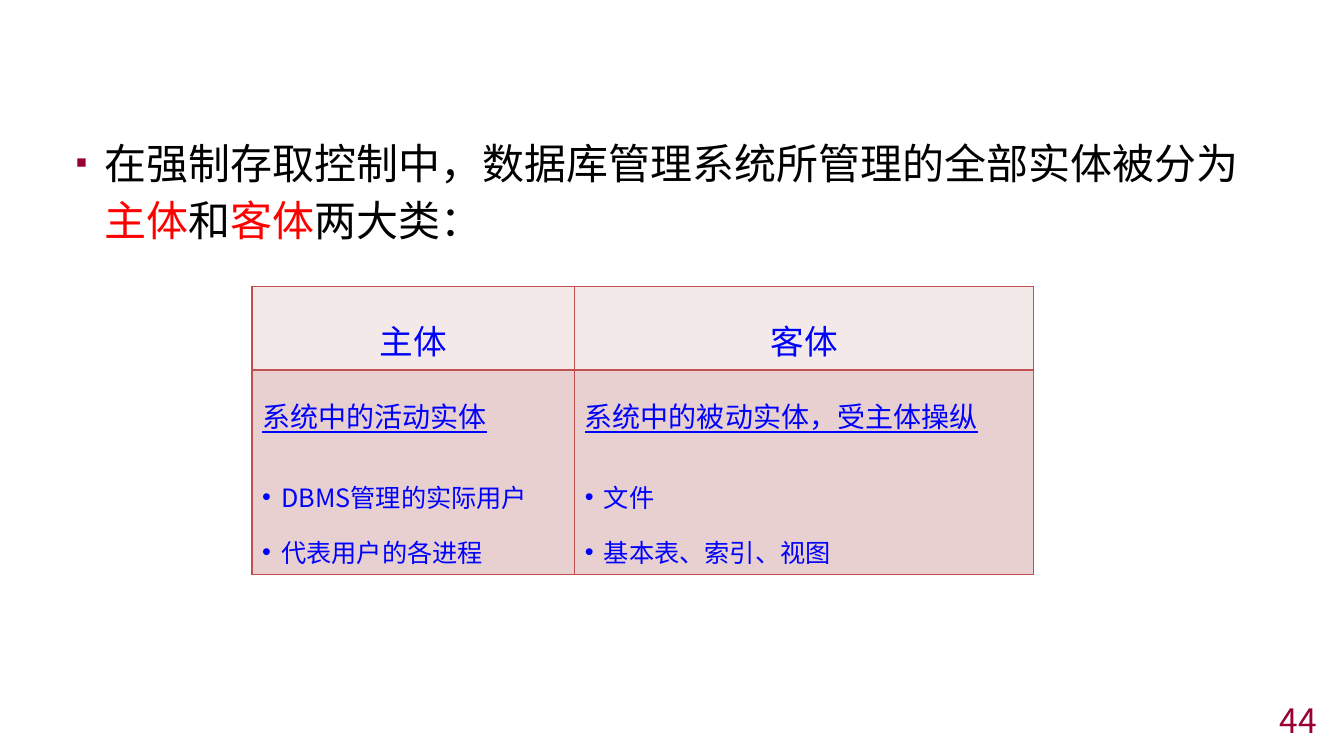
import pptx
import pptx.dml.color
import pptx.enum.text
import pptx.oxml
import pptx.oxml.ns
import pptx.util
from pptx.util import Inches, Pt

FONT = "Noto Sans CJK SC"
BLACK, RED, BLUE, MAROON, BORDER = "000000", "FF0000", "0000FF", "990033", "C0504D"
HEADER_FILL, BODY_FILL = "F4E9E9", "E8D0D0"

STATEMENT = [
    ("在强制存取控制中，数据库管理系统所管理的全部实体被分为", BLACK),
    ("主体", RED),
    ("和", BLACK),
    ("客体", RED),
    ("两大类：", BLACK),
]
# Each column: heading, definition, examples, width
COLUMNS = [
    ("主体", "系统中的活动实体", ["DBMS管理的实际用户", "代表用户的各进程"], 3.2),
    ("客体", "系统中的被动实体，受主体操纵", ["文件", "基本表、索引、视图"], 4.55),
]
ROW_HEIGHTS = [0.83, 2.03]
PAGE_NUMBER = "44"
ALIGN = pptx.enum.text.PP_ALIGN


def color(value):
    return pptx.dml.color.RGBColor.from_string(value)


def add_xml(parent, markup):
    namespace = pptx.oxml.ns.nsdecls("a")
    tag, rest = markup.split(" ", 1)
    parent.append(pptx.oxml.parse_xml(f"{tag} {namespace} {rest}"))


def style_span(span, size, value, underline=False):
    span.font.size = Pt(size)
    span.font.name = FONT
    span.font.color.rgb = color(value)
    span.font.underline = underline
    add_xml(span.font._element, f'<a:ea typeface="{FONT}"/>')


def style_para(para, spacing, before=0, align=ALIGN.LEFT):
    para.line_spacing = spacing
    para.space_before = Pt(before)
    para.alignment = align


def add_bullet(para, character, indent, tint=None, percent=100):
    properties = para._p.get_or_add_pPr()
    properties.set("marL", str(Inches(indent)))
    properties.set("indent", str(-Inches(indent)))
    if tint:
        add_xml(properties, f'<a:buClr ><a:srgbClr val="{tint}"/></a:buClr>')
    add_xml(properties, f'<a:buSzPct val="{percent * 1000}"/>')
    add_xml(properties, '<a:buFont typeface="Arial"/>')
    add_xml(properties, f'<a:buChar char="{character}"/>')


def style_cell(cell, fill):
    properties = cell._tc.get_or_add_tcPr()
    for side in ("lnL", "lnR", "lnT", "lnB"):
        add_xml(properties, f'<a:{side} w="{Pt(1)}"><a:solidFill><a:srgbClr val="{BORDER}"/>'
                            f'</a:solidFill></a:{side}>')
    cell.fill.solid()
    cell.fill.fore_color.rgb = color(fill)


def place(shape, left, top, width, height):
    shape.left, shape.top = Inches(left), Inches(top)
    shape.width, shape.height = Inches(width), Inches(height)


deck = pptx.Presentation()
deck.slide_width, deck.slide_height = Inches(13.33), Inches(7.5)
page = deck.slides.add_slide(deck.slide_layouts[1])
title = page.shapes.title._element
title.getparent().remove(title)

# Statement
body = page.placeholders[1]
place(body, 0.65, 1.24, 12.04, 5.91)
body.text_frame.auto_size = pptx.enum.text.MSO_AUTO_SIZE.NONE
para = body.text_frame.paragraphs[0]
style_para(para, 1.14, before=6)
add_bullet(para, "▪", 0.29, MAROON, 80)
for text, tint in STATEMENT:
    span = para.add_run()
    span.text = text
    style_span(span, 30, tint)

# Page number
number = page.shapes.add_textbox(Inches(10.33), Inches(6.99), Inches(2.83), Inches(0.31))
number.text_frame.word_wrap = True
number.text_frame.vertical_anchor = pptx.enum.text.MSO_ANCHOR.MIDDLE
number.text_frame.text = PAGE_NUMBER
para = number.text_frame.paragraphs[0]
para.alignment = ALIGN.RIGHT
style_span(para.runs[0], 24, MAROON)

# Table of subjects and objects
widths = [column[-1] for column in COLUMNS]
table = page.shapes.add_table(
    len(ROW_HEIGHTS), len(COLUMNS), Inches(2.5), Inches(2.84),
    Inches(sum(widths)), Inches(sum(ROW_HEIGHTS))).table
for row, height in zip(table.rows, ROW_HEIGHTS):
    row.height = Inches(height)

for index, (heading, definition, examples, width) in enumerate(COLUMNS):
    table.columns[index].width = Inches(width)
    header, details = table.cell(0, index), table.cell(1, index)
    style_cell(header, HEADER_FILL)
    style_cell(details, BODY_FILL)

    header.text_frame.text = heading
    para = header.text_frame.paragraphs[0]
    style_para(para, 1.5, align=ALIGN.CENTER)
    style_span(para.runs[0], 24, BLUE)

    details.text_frame.text = "\n".join([definition] + examples)
    for line, para in enumerate(details.text_frame.paragraphs):
        # The first example stands apart from the definition
        style_para(para, 1.5, before=17.4 if line == 1 else 0)
        style_span(para.runs[0], 18 if line else 20, BLUE, underline=line == 0)
        if line:
            add_bullet(para, "•", 0.19)

deck.save("out.pptx")
